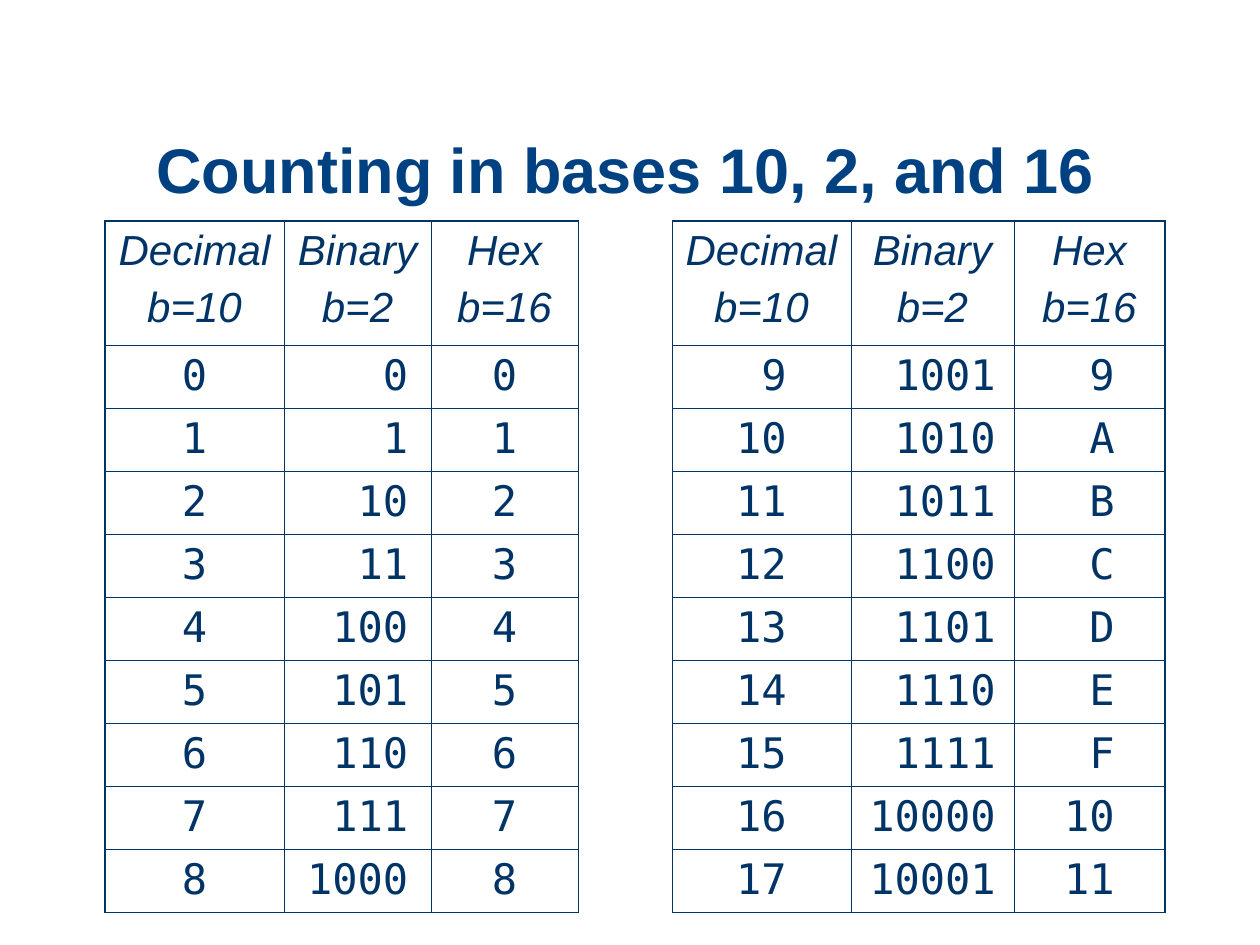
from lxml import etree
from pptx import Presentation, util as u
from pptx.dml.color import RGBColor
from pptx.enum import text
from pptx.oxml import ns

PX = 914400 / 126
COLORS = {"title": "004182", "ink": "003366"}
SANS, MONO = "Arial", "DejaVu Sans Mono"
THIN, THICK = 0.45, 1.08
DIGIT = 25.3  # width in px of one 24 pt monospaced digit


def px(length):
    return u.Emu(round(length * PX))


def border(cell, side, width):
    """Draw one side of a cell, or hide it when the width is 0."""
    line = etree.SubElement(cell._tc.get_or_add_tcPr(), ns.qn(f"a:ln{side}"))
    if not width:
        etree.SubElement(line, ns.qn("a:noFill"))
        return
    line.set("w", str(u.Pt(width)))
    fill = etree.SubElement(line, ns.qn("a:solidFill"))
    etree.SubElement(fill, ns.qn("a:srgbClr"), val=COLORS["ink"])


deck = Presentation()
deck.slide_width, deck.slide_height = px(1260), px(945)
slide = deck.slides.add_slide(deck.slide_layouts[6])

# Title
title = slide.shapes.add_textbox(px(144), px(112), px(1077), px(101)).text_frame
title.word_wrap = True
title.vertical_anchor = text.MSO_ANCHOR.BOTTOM
title.text = "Counting in bases 10, 2, and 16"
heading = title.paragraphs[0]
heading.line_spacing = 0.9
heading.font.name, heading.font.size, heading.font.bold = SANS, u.Pt(36), True
heading.font.color.rgb = RGBColor.from_string(COLORS["title"])

# Two counting blocks with an empty column between them
HEADERS = ["Decimal\nb=10", "Binary\nb=2", "Hex\nb=16"]
rows = [HEADERS + [""] + HEADERS]
for n in range(9):
    left, right = [[str(k), f"{k:b}", f"{k:X}"] for k in (n, n + 9)]
    rows.append(left + [""] + right)

widths = [179, 147, 147, 94, 179, 163, 151]
heights = [124] + [63] * 9
gap, last_col, last_row = 3, len(widths) - 1, len(rows) - 1
digits = [max(len(row[c]) for row in rows[1:]) for c in range(len(widths))]

counting = slide.shapes.add_table(len(rows), len(widths), px(105), px(221),
                                  px(sum(widths)), px(sum(heights))).table
counting.first_row = counting.horz_banding = False
for column, width in zip(counting.columns, widths):
    column.width = px(width)
for table_row, height in zip(counting.rows, heights):
    table_row.height = px(height)

for r, row in enumerate(rows):
    for c, value in enumerate(row):
        cell = counting.cell(r, c)
        cell.text = value

        # Thick outer frame, thin inner grid, open gap column
        border(cell, "L", THICK if c == 0 else THIN)
        border(cell, "R", THICK if c == last_col else THIN)
        border(cell, "T", 0 if c == gap else THICK if r == 0 else THIN)
        border(cell, "B", 0 if c == gap else THICK if r == last_row else THIN)
        cell.fill.background()

        # Numbers line up on the right, the widest one centred in its column
        is_number = r > 0 and c != gap
        if is_number:
            cell.margin_right = px((widths[c] - digits[c] * DIGIT) / 2)
        for line in cell.text_frame.paragraphs:
            line.alignment = text.PP_ALIGN.RIGHT if is_number else text.PP_ALIGN.CENTER
            line.space_before = u.Pt(6)
            line.font.size = u.Pt(24)
            line.font.name = MONO if r else SANS
            line.font.italic, line.font.bold = r == 0, False
            line.font.color.rgb = RGBColor.from_string(COLORS["ink"])

deck.save("out.pptx")
